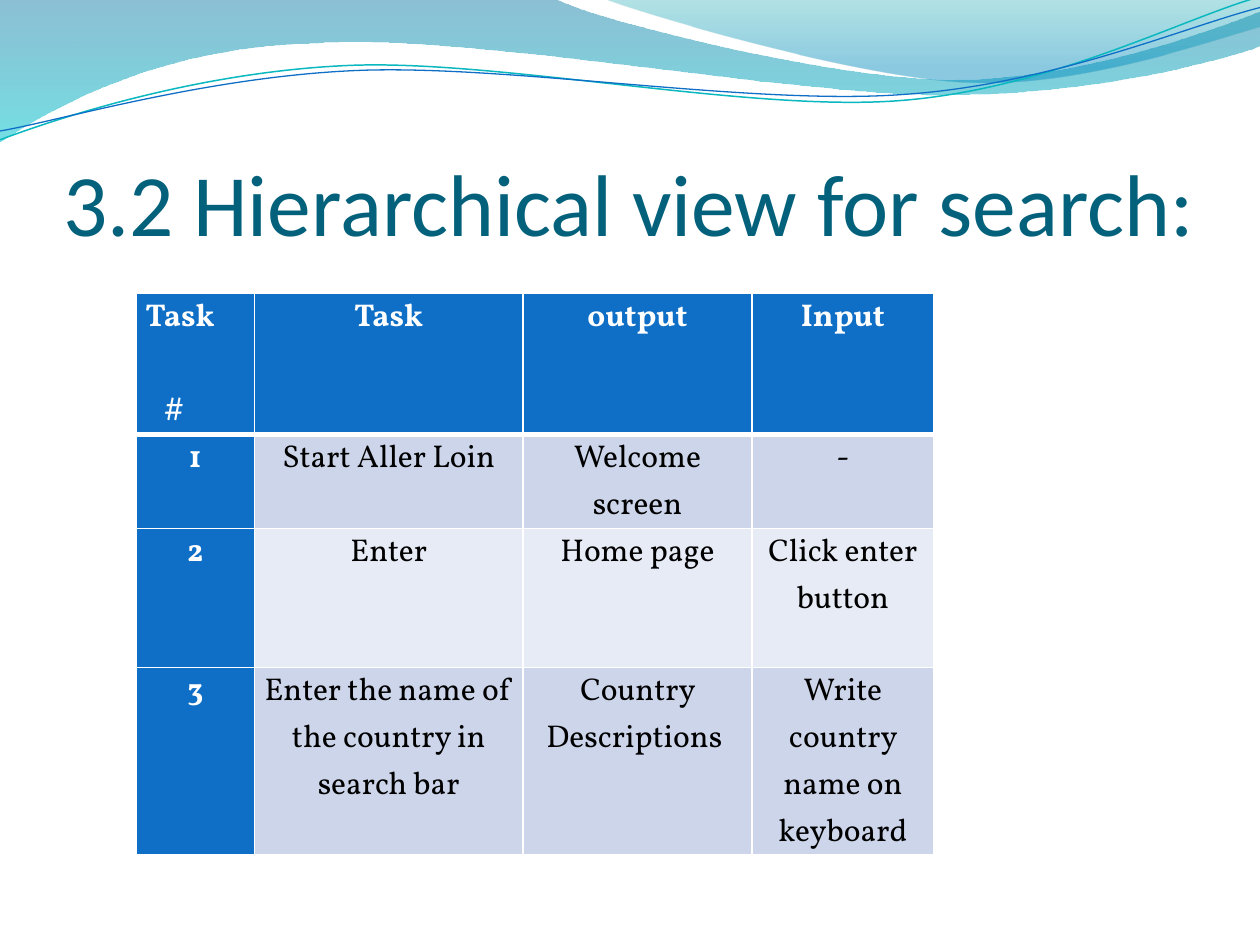
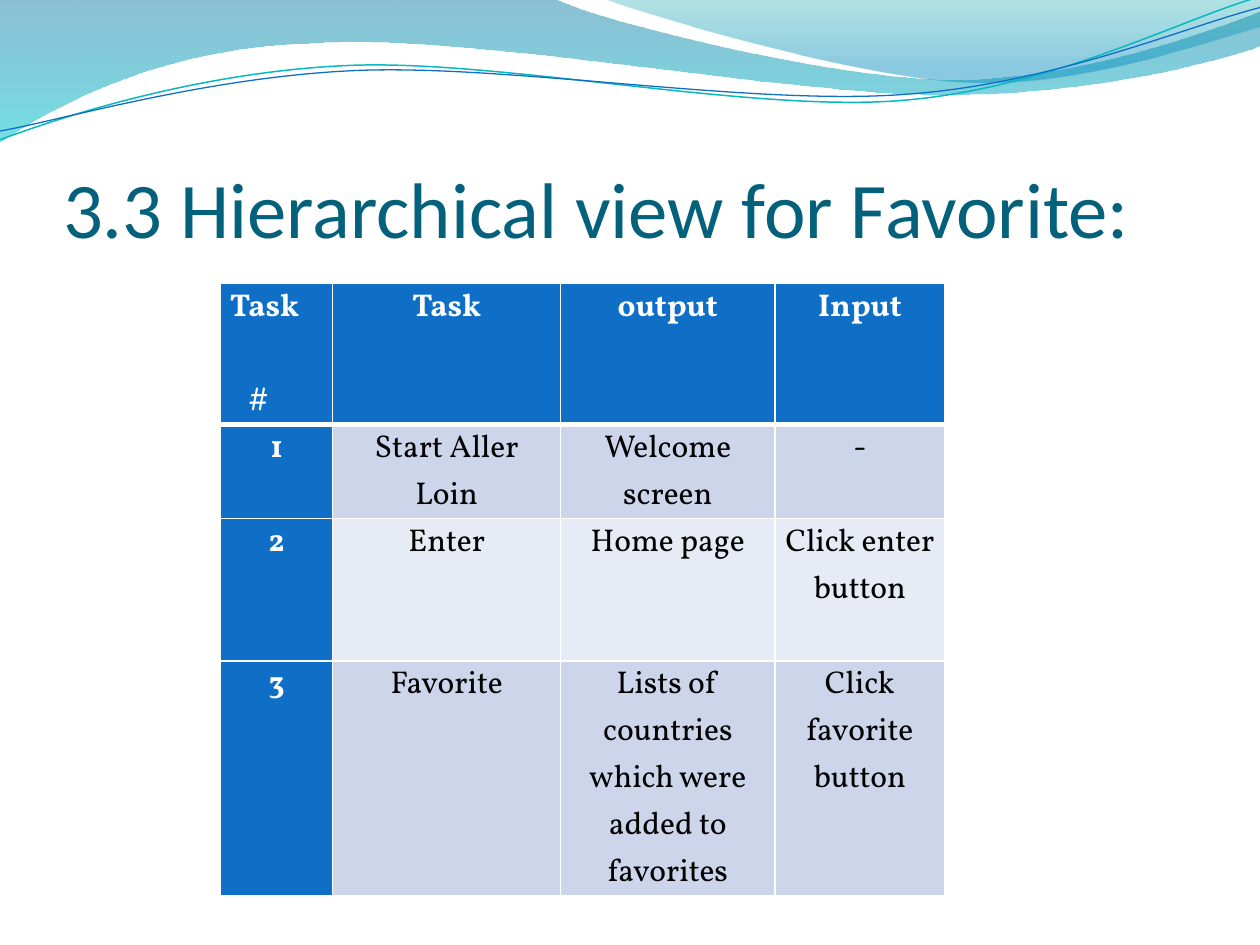
from lxml.etree import SubElement
from pptx import Presentation
from pptx.dml.color import RGBColor
from pptx.enum.text import MSO_ANCHOR, MSO_AUTO_SIZE, PP_ALIGN
from pptx.oxml.ns import qn
from pptx.util import Inches, Pt

WHITE = RGBColor(0xFF, 0xFF, 0xFF)
BLACK = RGBColor(0x00, 0x00, 0x00)
BLUE = RGBColor(0x0F, 0x6F, 0xC6)
TEAL = RGBColor(0x0A, 0xB8, 0xBF)
TITLE_COLOR = RGBColor(0x04, 0x61, 0x7B)
BAND_DARK = RGBColor(0xCC, 0xD5, 0xEA)
BAND_LIGHT = RGBColor(0xE7, 0xEB, 0xF5)
WAVE_DEEP = RGBColor(0x00, 0x74, 0xA1)
WAVE_CYAN = RGBColor(0x00, 0xC6, 0xCF)
CREST_GREEN = RGBColor(0x00, 0xA1, 0xA9)
CREST_BLUE = RGBColor(0x00, 0x8B, 0xBF)

TITLE_FONT = "Calibri"
TABLE_FONT = "Vollkorn"
TITLE_BOX = (0.5, 0.77, 9, 1.25)
HEADERS = [["Task", "#"], "Task", "output", "Input"]

WAVE = [
    [(0, 0)], [(4.4, -0.01)],
    [(4.76, 0.17), (6.64, 0.63), (7.58, 0.63)],
    [(8.53, 0.63), (9.58, 0.26), (10, 0.09)],
    [(10.01, 0.36)],
    [(9.83, 0.44), (8.7, 0.76), (7.46, 0.75)],
    [(6.22, 0.75), (3.82, 0.28), (2.57, 0.34)],
    [(1.29, 0.36), (0.46, 0.83), (-0.01, 1.13)],
    [(0, 0)],
]
CREST = [
    [(4.79, -0.01)],
    [(5.09, 0.11), (6.82, 0.62), (7.69, 0.65)],
    [(8.56, 0.69), (9.61, 0.32), (10, 0.21)],
    [(10, 0)], [(4.79, -0.01)],
]
TEAL_LINE = [
    [(0, 1.11)],
    [(0.48, 0.93), (1.58, 0.57), (2.77, 0.52)],
    [(3.95, 0.47), (5.93, 0.89), (7.13, 0.8)],
    [(8.33, 0.71), (9.38, 0.15), (9.98, -0.02)],
]
BLUE_LINE = [
    [(0, 1.04)],
    [(0.47, 0.96), (1.64, 0.61), (2.83, 0.56)],
    [(4.03, 0.51), (5.97, 0.84), (7.17, 0.75)],
    [(8.36, 0.67), (9.41, 0.21), (10, 0.06)],
]


def bend_segments(shape, segments):
    lines = list(shape._element.iter(qn("a:lnTo")))
    for line, segment in zip(lines, segments[1:]):
        if len(segment) == 1:
            continue
        line.clear()
        line.tag = qn("a:cubicBezTo")
        for x, y in segment:
            SubElement(line, qn("a:pt"), x=str(Inches(x) - shape.left),
                       y=str(Inches(y) - shape.top))


def add_outline(slide, segments, closed):
    points = [tuple(map(Inches, segment[-1])) for segment in segments]
    builder = slide.shapes.build_freeform(*points[0], scale=1.0)
    builder.add_line_segments(points[1:], close=closed)
    shape = builder.convert_to_shape()
    shape.shadow.inherit = False
    bend_segments(shape, segments)
    return shape


def add_wave(slide, segments, stops):
    shape = add_outline(slide, segments, True)
    shape.line.fill.background()
    shape.fill.gradient()
    shape.fill.gradient_angle = 270
    for stop, (position, color, _) in zip(shape.fill.gradient_stops, stops):
        stop.position = position
        stop.color.rgb = color
    gradient = shape._element.spPr.find(qn("a:gradFill"))
    for color_element, (_, _, opacity) in zip(gradient.iter(qn("a:srgbClr")), stops):
        SubElement(color_element, qn("a:alpha"), val=str(opacity * 1000))
    return shape


def add_wave_line(slide, segments, color, width):
    shape = add_outline(slide, segments, False)
    shape.fill.background()
    shape.line.color.rgb = color
    shape.line.width = Pt(width)
    return shape


def decorate_layout(layout, slide):
    parts = [
        add_wave(slide, WAVE, [(0, WAVE_DEEP, 45), (1, WAVE_CYAN, 55)]),
        add_wave(slide, CREST, [(0, CREST_GREEN, 30), (0.8, CREST_BLUE, 45)]),
        add_wave_line(slide, TEAL_LINE, TEAL, 0.85),
        add_wave_line(slide, BLUE_LINE, BLUE, 0.75),
    ]
    for index, part in enumerate(parts, start=2):
        layout.shapes._spTree.insert(index, part._element)


def add_title(slide, text, size, box):
    title = slide.shapes.title
    title.left, title.top, title.width, title.height = map(Inches, box)
    frame = title.text_frame
    frame.margin_left = frame.margin_right = frame.margin_bottom = 0
    frame.margin_top = Inches(0.05)
    frame.vertical_anchor = MSO_ANCHOR.BOTTOM
    frame.auto_size = MSO_AUTO_SIZE.NONE
    frame.word_wrap = True
    paragraph = frame.paragraphs[0]
    paragraph.alignment = PP_ALIGN.LEFT
    run = paragraph.add_run()
    run.text = text
    run.font.name = TITLE_FONT
    run.font.size = Pt(size)
    run.font.color.rgb = TITLE_COLOR


def set_borders(cell, top, bottom):
    properties = cell._tc.get_or_add_tcPr()
    for side, width in (("L", 1), ("R", 1), ("T", top), ("B", bottom)):
        line = SubElement(properties, qn(f"a:ln{side}"), w=str(Pt(width)))
        fill = SubElement(line, qn("a:solidFill"))
        SubElement(fill, qn("a:srgbClr"), val=str(WHITE))


def add_cell_line(paragraph, text, color, bold, alignment):
    paragraph.alignment = alignment
    paragraph.line_spacing = 1.07
    run = paragraph.add_run()
    run.text = text
    run.font.name = TABLE_FONT
    run.font.size = Pt(18)
    run.font.bold = bold
    run.font.color.rgb = color


def fill_cell(cell, content, row, column):
    emphasized = row == 0 or column == 0
    set_borders(cell, 3 if row == 1 else 1, 3 if row == 0 else 1)
    cell.fill.solid()
    band = BAND_DARK if row % 2 else BAND_LIGHT
    cell.fill.fore_color.rgb = BLUE if emphasized else band
    cell.margin_left = cell.margin_right = Pt(5.4)
    cell.margin_top = cell.margin_bottom = 0
    color = WHITE if emphasized else BLACK
    frame = cell.text_frame
    if isinstance(content, str):
        add_cell_line(frame.paragraphs[0], content, color, emphasized, PP_ALIGN.CENTER)
        return
    first, second = content
    add_cell_line(frame.paragraphs[0], first, color, emphasized, PP_ALIGN.LEFT)
    lower = frame.add_paragraph()
    lower._p.get_or_add_pPr().set("marL", str(Inches(0.15)))
    add_cell_line(lower, second, color, emphasized, PP_ALIGN.LEFT)
    lower.space_before = Pt(27)


def add_task_table(slide, left, top, widths, heights, tasks):
    rows = [HEADERS] + [[str(number), *task] for number, task in enumerate(tasks, 1)]
    frame = slide.shapes.add_table(
        len(rows), len(widths), Inches(left), Inches(top),
        Inches(sum(widths)), Inches(sum(heights)))
    table = frame.table
    for column, width in zip(table.columns, widths):
        column.width = Inches(width)
    for table_row, height in zip(table.rows, heights):
        table_row.height = Inches(height)
    for row, contents in enumerate(rows):
        for column, content in enumerate(contents):
            fill_cell(table.cell(row, column), content, row, column)


def add_task_slide(presentation, layout, title, title_size, table):
    slide = presentation.slides.add_slide(layout)
    add_title(slide, title, title_size, TITLE_BOX)
    add_task_table(slide, **table)
    return slide


def main():
    presentation = Presentation()
    presentation.slide_width = Inches(10)
    presentation.slide_height = Inches(7.5)
    layout = presentation.slide_layouts.get_by_name("Title Only")
    opening_tasks = [
        ("Start Aller Loin", "Welcome screen", "-"),
        ("Enter", "Home page", "Click enter button"),
    ]
    search_slide = add_task_slide(
        presentation, layout, "3.2 Hierarchical view for search:", 50,
        dict(left=1.08, top=2.33, widths=[0.94, 2.13, 1.82, 1.44],
             heights=[1.1, 0.73, 1.1, 1.48],
             tasks=opening_tasks + [
                 ("Enter the name of the country in search bar",
                  "Country Descriptions ", "Write country name on keyboard")]))
    add_task_slide(
        presentation, layout, "3.3 Hierarchical view for Favorite:", 45,
        dict(left=1.75, top=2.25, widths=[0.89, 1.81, 1.7, 1.35],
             heights=[0.71, 0.71, 1.13, 1.77],
             tasks=opening_tasks + [
                 ("Favorite", "Lists of countries which were added to favorites",
                  "Click favorite button")]))
    decorate_layout(layout, search_slide)
    presentation.save("out.pptx")


if __name__ == "__main__":
    main()
